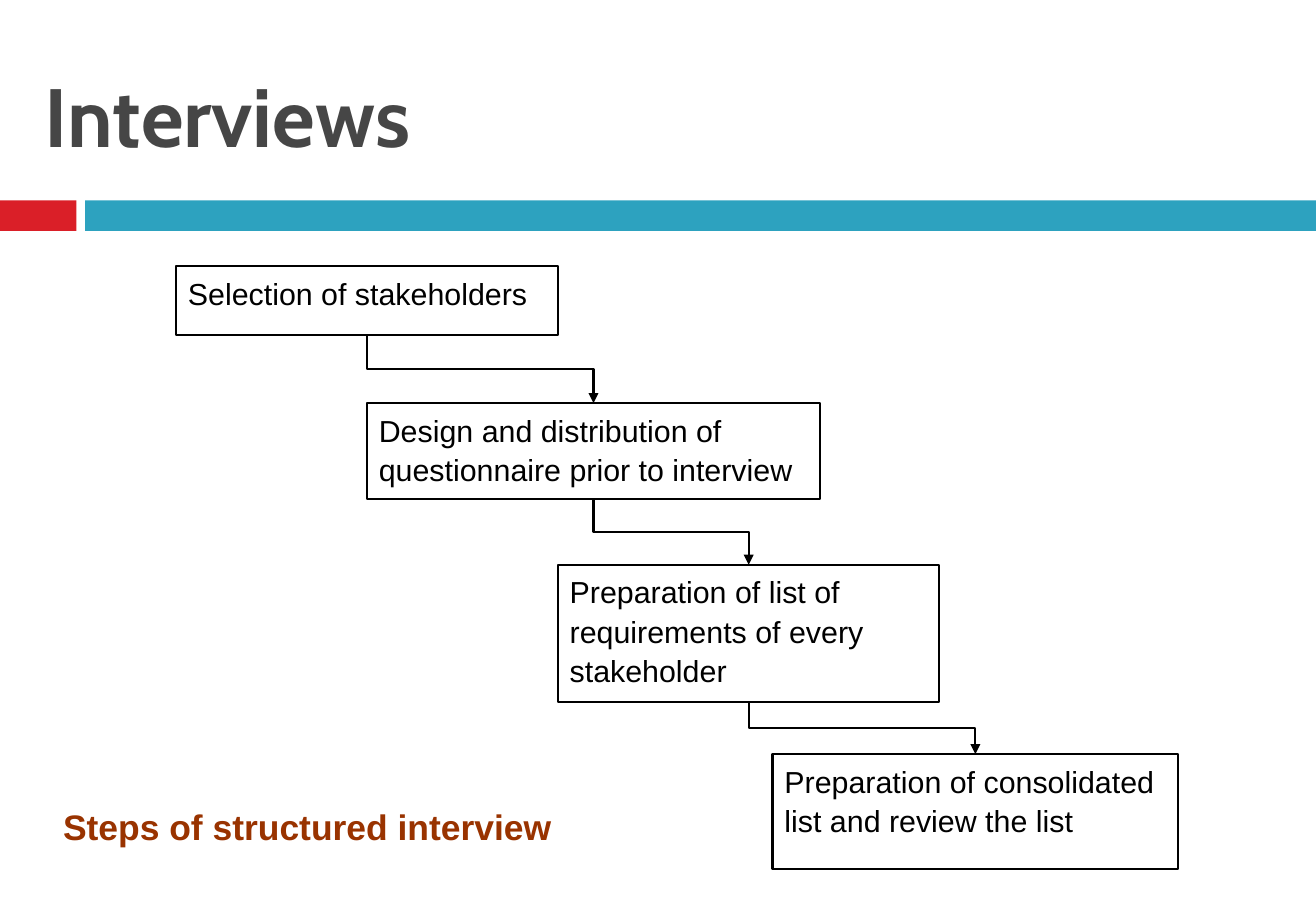
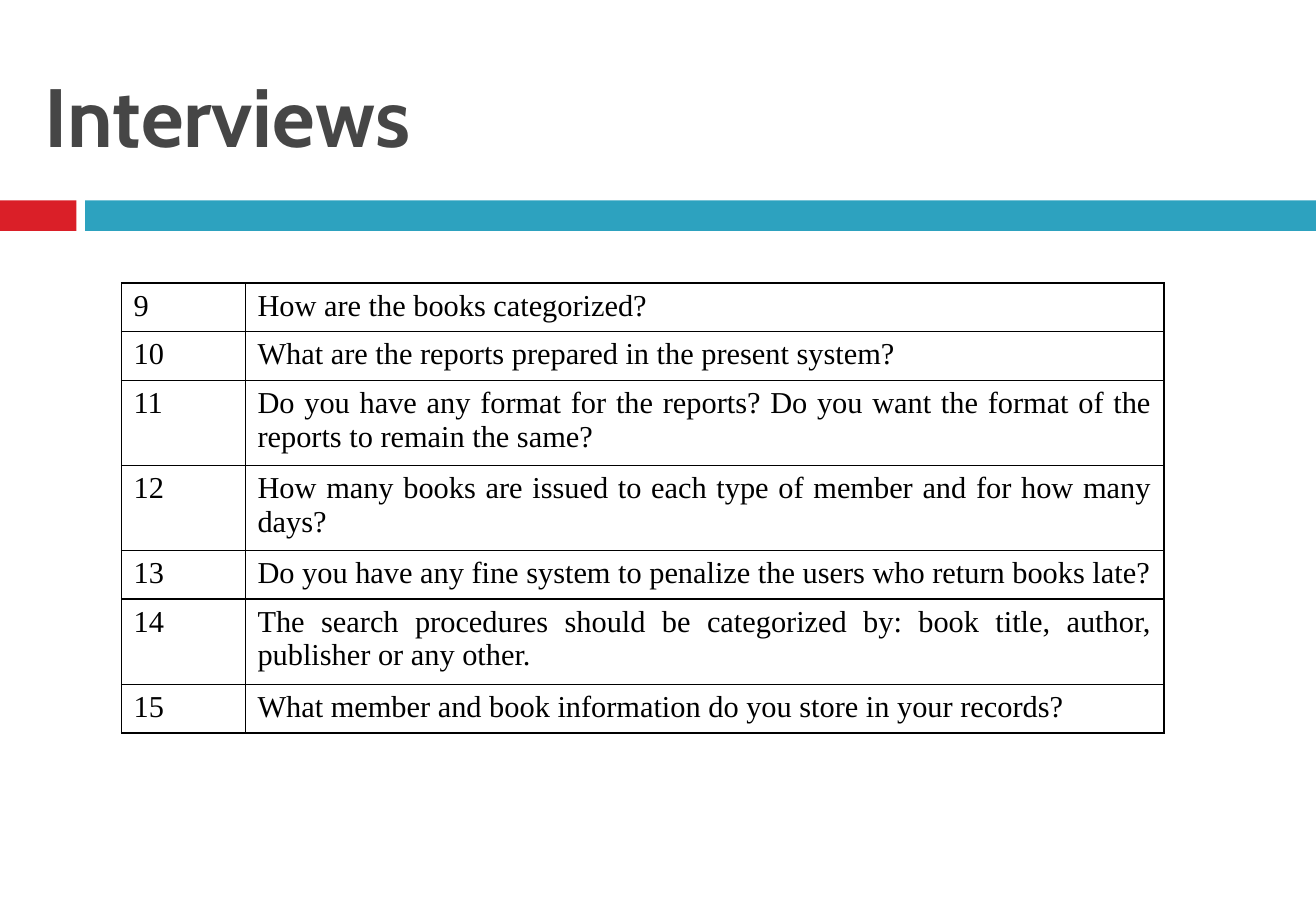
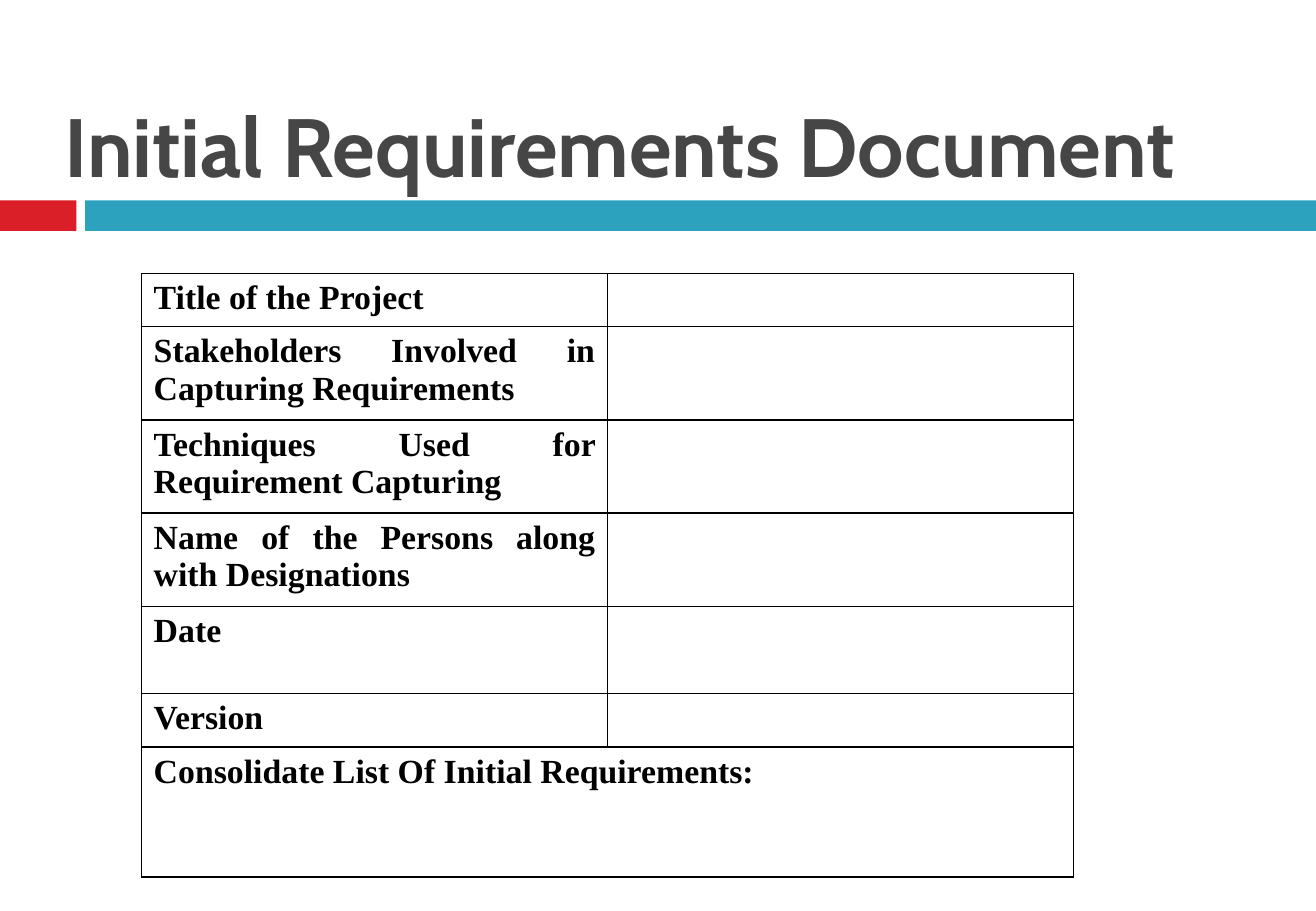
from itertools import pairwise

from lxml.etree import SubElement
from pptx import Presentation
from pptx.dml.color import RGBColor
from pptx.enum.shapes import MSO_CONNECTOR as Link, MSO_SHAPE as Shape
from pptx.enum.text import MSO_ANCHOR as Anchor, PP_ALIGN as Align
from pptx.oxml.ns import qn
from pptx.util import Cm, Pt

WIDTH, HEIGHT = 27.51, 19.05
RED, TEAL, GREY, BROWN = "DA1F28", "2DA2BF", "464646", "993300"
BLACK, WHITE = "000000", "FFFFFF"
SERIF, SANS, DISPLAY = "Times New Roman", "Arial", "Cabin"

BANDS = [(0, 1.6, RED), (1.78, WIDTH - 1.78, TEAL)]
BAND_TOP, BAND_HEIGHT = 4.19, 0.64

STEPS = [
    ("Selection of stakeholders", 3.68, 5.56, 7.98, 1.45),
    ("Design and distribution of questionnaire prior to interview", 7.67, 8.43, 9.47, 2.01),
    ("Preparation of list of requirements of every stakeholder", 11.66, 11.81, 7.98, 2.87),
    ("Preparation of consolidated list and review the list", 16.15, 15.77, 8.48, 2.41),
]
CAPTION = "Steps of structured interview"

SINGLE, DOUBLE = 0.96, 1.66
FIRST_NUMBER = 9
QUESTIONS = [
    ("How are the books categorized?", SINGLE),
    ("What are the reports prepared in the present system?", SINGLE),
    ("Do you have any format for the reports? Do you want the format of the reports to remain the same?", DOUBLE),
    ("How many books are issued to each type of member and for how many days?", DOUBLE),
    ("Do you have any fine system to penalize the users who return books late?", SINGLE),
    ("The search procedures should be categorized by: book title, author, publisher or any other.", DOUBLE),
    ("What member and book information do you store in your records?", SINGLE),
]

SHORT, TALL, LIST = 1.11, 1.83, 2.72
FIELDS = [
    ("Title of the Project", SHORT),
    ("Stakeholders Involved in Capturing Requirements", TALL),
    ("Techniques Used for Requirement Capturing", TALL),
    ("Name of the Persons along with Designations", TALL),
    ("Date", TALL),
    ("Version", SHORT),
    ("Consolidate List Of Initial Requirements:", LIST),
]


def color(value):
    return RGBColor.from_string(value)


def place(*lengths):
    return [Cm(length) for length in lengths]


def write(frame, text, font, size, tint=BLACK, bold=False, align=Align.LEFT):
    para = frame.paragraphs[0]
    para.alignment = align
    span = para.add_run()
    span.text = text
    span.font.name = font
    span.font.size = Pt(size)
    span.font.bold = bold
    span.font.color.rgb = color(tint)
    return para


def add_box(page, at, fill, line=None):
    box = page.shapes.add_shape(Shape.RECTANGLE, *place(*at))
    box.shadow.inherit = False
    box.fill.solid()
    box.fill.fore_color.rgb = color(fill)
    if line:
        box.line.color.rgb = color(line)
        box.line.width = Pt(1.25)
    else:
        box.line.fill.background()
    return box


def add_label(page, at, anchor):
    label = page.shapes.add_textbox(*place(*at))
    label.text_frame.word_wrap = True
    label.text_frame.vertical_anchor = anchor
    return label.text_frame


def add_page(deck, title, left=0.64, top=0.84):
    page = deck.slides.add_slide(deck.slide_layouts[6])
    for band_left, band_width, fill in BANDS:
        add_box(page, (band_left, BAND_TOP, band_width, BAND_HEIGHT), fill)
    frame = add_label(page, (left, top, 25.73, 2.74), Anchor.BOTTOM)
    frame.margin_left = frame.margin_right = Cm(0.3)
    frame.margin_top = frame.margin_bottom = Cm(0.15)
    write(frame, title, DISPLAY, 49, GREY, True)
    return page


def add_step(page, text, *at):
    box = add_box(page, at, WHITE, BLACK)
    frame = box.text_frame
    frame.word_wrap = True
    frame.vertical_anchor = Anchor.TOP
    write(frame, text, SANS, 18).line_spacing = 1.08
    return box


def add_elbow(page, upper, lower):
    start_x, start_y = upper.left + upper.width // 2, upper.top + upper.height
    end_x, end_y = lower.left + lower.width // 2, lower.top
    across, down = end_x - start_x, end_y - start_y
    elbow = page.shapes.add_connector(Link.ELBOW, start_x, start_y, end_x, end_y)
    elbow.begin_connect(upper, 2)
    elbow.end_connect(lower, 0)
    elbow.left = (start_x + end_x - down) // 2
    elbow.top = (start_y + end_y - across) // 2
    elbow.width, elbow.height = down, across
    elbow.line.color.rgb = color(BLACK)
    elbow.line.width = Pt(1.25)
    properties = elbow._element.spPr
    frame = properties.find(qn("a:xfrm"))
    frame.set("rot", "16200000")
    frame.set("flipH", "1")
    SubElement(properties.find(qn("a:ln")), qn("a:tailEnd"), type="triangle")
    SubElement(properties, qn("a:effectLst"))


def add_borders(cell):
    properties = cell._tc.get_or_add_tcPr()
    for index, side in enumerate(("lnL", "lnR", "lnT", "lnB")):
        border = SubElement(properties, qn(f"a:{side}"), w=str(Pt(1)))
        fill = SubElement(border, qn("a:solidFill"))
        SubElement(fill, qn("a:srgbClr"), val=BLACK)
        properties.insert(index, border)


def add_grid(page, left, top, widths, heights, rows, size, bold=False):
    at = place(left, top, sum(widths), sum(heights))
    table = page.shapes.add_table(len(rows), len(widths), *at).table
    table.first_row = table.horz_banding = False
    for column, width in zip(table.columns, widths):
        column.width = Cm(width)
    for row, height, texts in zip(table.rows, heights, rows):
        row.height = Cm(height)
        for cell, text in zip(row.cells, texts):
            cell.fill.background()
            add_borders(cell)
            if text:
                write(cell.text_frame, text, SERIF, size, bold=bold, align=Align.JUSTIFY)
    return table


def main():
    deck = Presentation()
    deck.slide_width, deck.slide_height = place(WIDTH, HEIGHT)

    page = add_page(deck, "Interviews")
    boxes = [add_step(page, *step) for step in STEPS]
    for upper, lower in pairwise(boxes):
        add_elbow(page, upper, lower)
    caption = add_label(page, (1.07, 16.71, 10.92, 1.14), Anchor.MIDDLE)
    write(caption, CAPTION, SANS, 21, BROWN, True)

    page = add_page(deck, "Interviews")
    questions, heights = zip(*QUESTIONS)
    rows = [(str(number), text) for number, text in enumerate(questions, FIRST_NUMBER)]
    add_grid(page, 2.54, 5.92, (2.59, 19.2), heights, rows, 18)

    page = add_page(deck, "Initial Requirements Document", left=1.05, top=1.47)
    fields, heights = zip(*FIELDS)
    rows = [(text, "") for text in fields]
    table = add_grid(page, 2.96, 5.72, (9.74, 9.74), heights, rows, 20, True)
    last = len(rows) - 1
    table.cell(last, 0).merge(table.cell(last, 1))

    deck.save("out.pptx")


if __name__ == "__main__":
    main()
